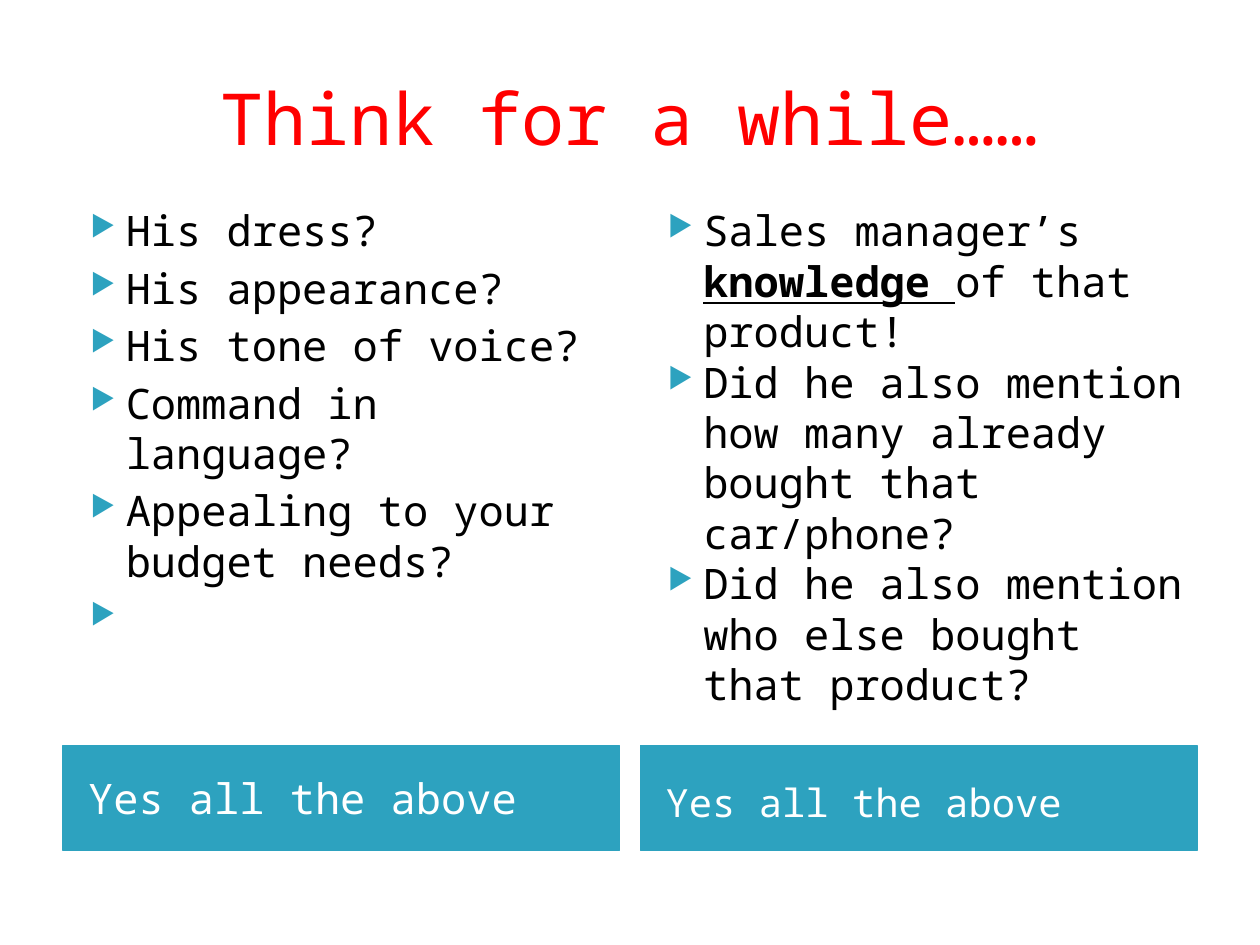
from dataclasses import dataclass
from typing import Any

from lxml.etree import SubElement
from pptx import Presentation
from pptx.dml.color import RGBColor
from pptx.enum.shapes import MSO_SHAPE
from pptx.enum.text import MSO_ANCHOR, MSO_AUTO_SIZE, PP_ALIGN
from pptx.oxml.ns import qn
from pptx.util import Pt

LEFT, COLUMN_WIDTH, COLUMN_STEP = 36, 318, 330
LIST_TOP, LIST_HEIGHT = 113.6, 310
BANNER_TOP, BANNER_HEIGHT = 426, 60


def color(hex_string):
    return RGBColor.from_string(hex_string)


@dataclass
class SlideBuilder:
    slide: Any
    font: str = "Noto Sans Mono"
    accent: str = "2DA2BF"
    text_color: str = "000000"
    body_size: float = 24

    def add_run(self, paragraph, text, size, hex_color, strong=False):
        run = paragraph.add_run()
        run.text = text
        run.font.name = self.font
        run.font.size = Pt(size)
        run.font.color.rgb = color(hex_color)
        if strong:
            run.font.bold = run.font.underline = True

    def title(self, text, left, top, width, height):
        heading = self.slide.shapes.title
        heading.left, heading.top = Pt(left), Pt(top)
        heading.width, heading.height = Pt(width), Pt(height)
        frame = heading.text_frame
        frame.auto_size = MSO_AUTO_SIZE.NONE
        frame.vertical_anchor = MSO_ANCHOR.MIDDLE
        frame.paragraphs[0].alignment = PP_ALIGN.CENTER
        self.add_run(frame.paragraphs[0], text, 41, "FF0000")

    def add_bullet(self, paragraph):
        properties = paragraph._p.get_or_add_pPr()
        properties.set("marL", str(Pt(28.8)))
        properties.set("indent", str(Pt(-20.2)))
        bullet_color = SubElement(properties, qn("a:buClr"))
        SubElement(bullet_color, qn("a:srgbClr"), val=self.accent)
        SubElement(properties, qn("a:buSzPct"), val="68000")
        SubElement(properties, qn("a:buChar"), char="▶")

    def bullet_list(self, items, left, space_before):
        """Each item is a list of (text, strong) runs."""
        box = self.slide.shapes.add_textbox(
            Pt(left), Pt(LIST_TOP), Pt(COLUMN_WIDTH), Pt(LIST_HEIGHT))
        frame = box.text_frame
        frame.word_wrap = True
        for index, item in enumerate(items):
            paragraph = frame.add_paragraph() if index else frame.paragraphs[0]
            paragraph.space_before = Pt(space_before)
            self.add_bullet(paragraph)
            for text, strong in item:
                self.add_run(paragraph, text, self.body_size, self.text_color, strong)

    def banner(self, text, left, size, margin_top):
        bar = self.slide.shapes.add_shape(
            MSO_SHAPE.RECTANGLE, Pt(left), Pt(BANNER_TOP),
            Pt(COLUMN_WIDTH), Pt(BANNER_HEIGHT))
        bar.shadow.inherit = False
        bar.fill.solid()
        bar.fill.fore_color.rgb = color(self.accent)
        bar.line.color.rgb = color(self.accent)
        bar.line.width = Pt(0.75)
        frame = bar.text_frame
        frame.word_wrap = True
        frame.vertical_anchor = MSO_ANCHOR.MIDDLE
        frame.margin_left, frame.margin_top = Pt(14.4), Pt(margin_top)
        paragraph = frame.paragraphs[0]
        paragraph.alignment = PP_ALIGN.LEFT
        self.add_run(paragraph, text, size, "FFFFFF")


def main():
    presentation = Presentation()
    presentation.slide_width, presentation.slide_height = Pt(720), Pt(540)
    title_only = presentation.slide_layouts[5]
    builder = SlideBuilder(presentation.slides.add_slide(title_only))

    impressions = [
        [("His dress?", False)],
        [("His appearance?", False)],
        [("His tone of voice?", False)],
        [("Command in language?", False)],
        [("Appealing to your budget needs?", False)],
        [(" ", False)],  # the last bullet stands alone
    ]
    product_points = [
        [("Sales manager’s ", False), ("knowledge ", True), ("of that product!", False)],
        [("Did he also mention how many already bought that car/phone?", False)],
        [("Did he also mention who else bought that product?", False)],
    ]
    columns = [
        (impressions, 4, 24, 3.6),
        (product_points, 0, 22.2, 8),
    ]

    builder.title("Think for a while……", LEFT, 21.6, 648, 90)
    for index, (items, space_before, answer_size, margin_top) in enumerate(columns):
        left = LEFT + index * COLUMN_STEP
        builder.banner("Yes all the above", left, answer_size, margin_top)
        builder.bullet_list(items, left, space_before)

    presentation.save("out.pptx")


if __name__ == "__main__":
    main()
